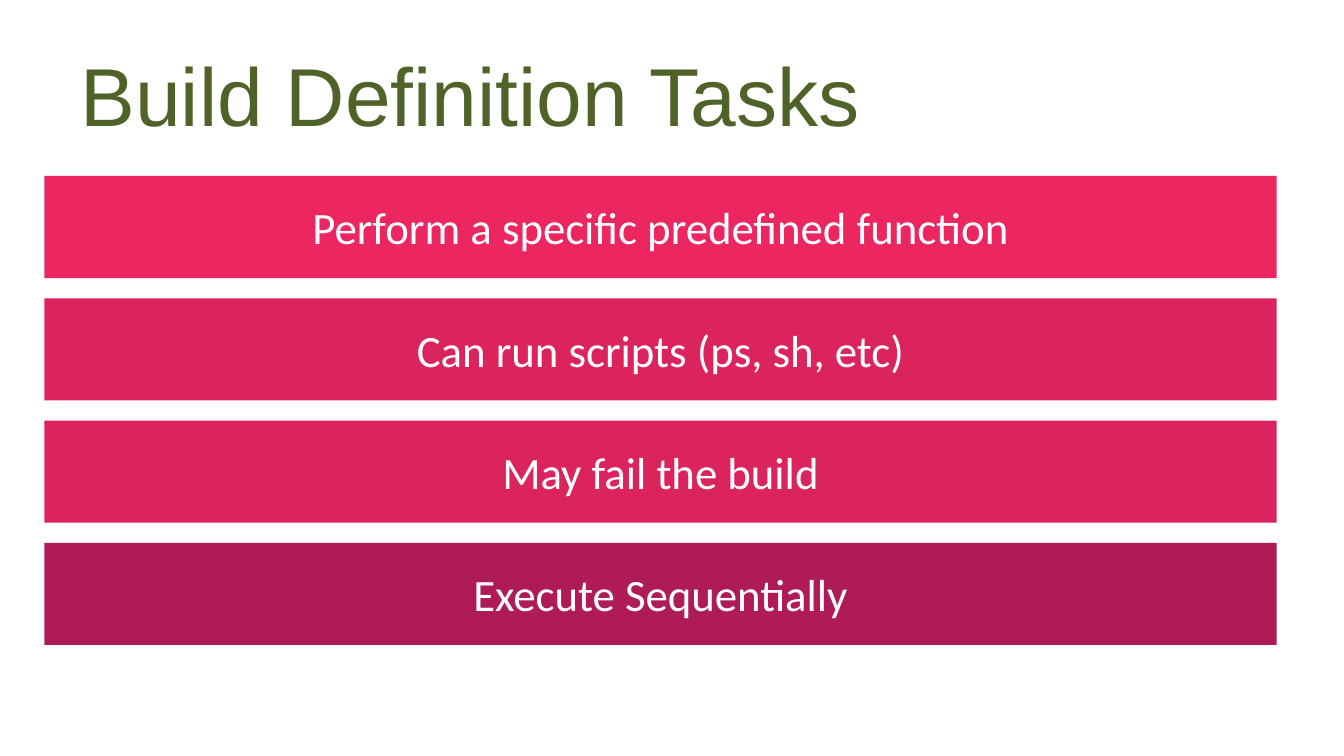
"""Build the slide that lists what build definition tasks do."""
import pptx
import pptx.dml.color
import pptx.enum.shapes
import pptx.enum.text
import pptx.util

EMU_PER_PX = 4572
COLOURS = {
    "title": "4F6228",
    "text": "FFFFFF",
    "bright": "EC2661",
    "middle": "DB235E",
    "dark": "AF1B57",
}
TASK_FACTS = [
    ("Perform a specific predefined function", "bright"),
    ("Can run scripts (ps, sh, etc)", "middle"),
    ("May fail the build", "middle"),
    ("Execute Sequentially", "dark"),
]
BAR_LEFT, BAR_TOP, BAR_WIDTH, BAR_HEIGHT = 66, 262, 1834, 152
BAR_STEP = 182


def px(length):
    return pptx.util.Emu(length * EMU_PER_PX)


def colour(name):
    return pptx.dml.color.RGBColor.from_string(COLOURS[name])


def write_text(shape, text, font_name, size, colour_name, alignment):
    text_frame = shape.text_frame
    text_frame.text = text
    text_frame.word_wrap = True
    text_frame.vertical_anchor = pptx.enum.text.MSO_ANCHOR.MIDDLE
    paragraph = text_frame.paragraphs[0]
    paragraph.alignment = alignment
    font = paragraph.runs[0].font
    font.name = font_name
    font.size = pptx.util.Pt(size)
    font.color.rgb = colour(colour_name)


def set_title(slide, text):
    title = slide.shapes.title
    title.left, title.top = px(100), px(46)
    title.width, title.height = px(1800), px(188)
    write_text(title, text, "Arial", 44, "title", pptx.enum.text.PP_ALIGN.LEFT)


def add_bar(slide, top, text, fill_name):
    bar = slide.shapes.add_shape(
        pptx.enum.shapes.MSO_SHAPE.RECTANGLE,
        px(BAR_LEFT), px(top), px(BAR_WIDTH), px(BAR_HEIGHT),
    )
    bar.shadow.inherit = False
    bar.fill.solid()
    bar.fill.fore_color.rgb = colour(fill_name)
    bar.line.fill.background()
    write_text(bar, text, "Calibri", 24, "text", pptx.enum.text.PP_ALIGN.CENTER)


def main():
    presentation = pptx.Presentation()
    presentation.slide_width = px(2000)
    presentation.slide_height = px(1125)
    slide = presentation.slides.add_slide(presentation.slide_layouts[5])
    set_title(slide, "Build Definition Tasks")
    for index, (text, fill_name) in enumerate(TASK_FACTS):
        add_bar(slide, BAR_TOP + index * BAR_STEP, text, fill_name)
    presentation.save("out.pptx")


if __name__ == "__main__":
    main()
